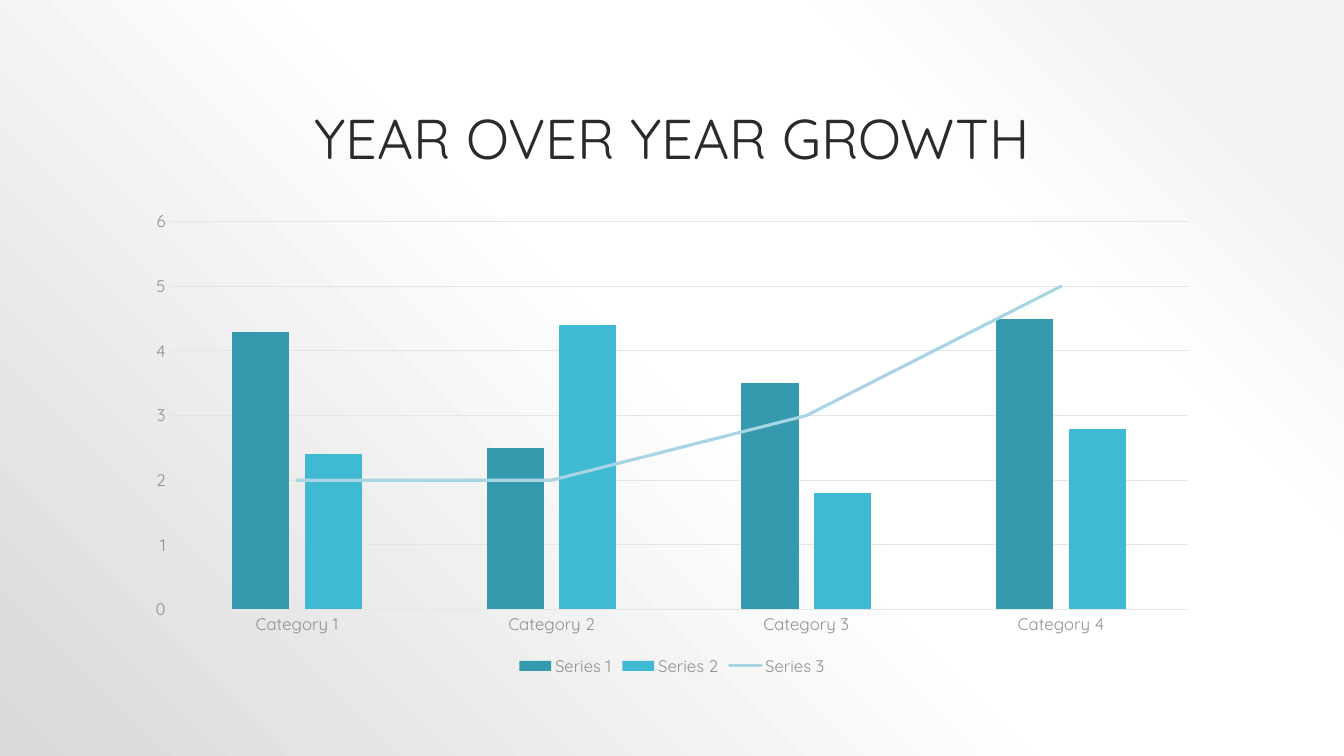
from copy import deepcopy

from pptx import Presentation
from pptx import util as u
from pptx.chart.data import CategoryChartData
from pptx.dml.color import RGBColor
from pptx.enum import chart as ch, text
from pptx.oxml import parse_xml
from pptx.oxml.ns import nsdecls, qn

COLORS = {
    "title": "2A2A2A", "chart_text": "545454", "label": "909090", "grid": "E5E5E5",
    "Series 1": "359AAE", "Series 2": "40BAD2", "Series 3": "A7D5E3",
}
GRADIENT = [(10, "F2F2F2"), (28, "FFFFFF"), (48, "FFFFFF"), (100, "D9D9D9")]
FONT = "Quicksand"
CATEGORIES = [f"Category {n}" for n in range(1, 5)]
SERIES = {
    "Series 1": (4.3, 2.5, 3.5, 4.5),
    "Series 2": (2.4, 4.4, 1.8, 2.8),
    "Series 3": (2, 2, 3, 5),
}


def rgb(name):
    return RGBColor.from_string(COLORS[name])


def set_attrs(obj, **values):
    for name, value in values.items():
        setattr(obj, name, value)


def set_font(font, size, color):
    set_attrs(font, name=FONT, size=u.Pt(size), bold=False)
    font.color.rgb = rgb(color)


def set_line(line, color, width):
    line.color.rgb = rgb(color)
    line.width = u.Pt(width)


def add_background(s):
    # Circular gradient centred on the top right corner
    stops = "".join(
        f'<a:gs pos="{pos * 1000}"><a:srgbClr val="{color}"/></a:gs>'
        for pos, color in GRADIENT)
    s.element.cSld.insert(0, parse_xml(
        f'<p:bg {nsdecls("p", "a")}><p:bgPr><a:gradFill rotWithShape="1">'
        f'<a:gsLst>{stops}</a:gsLst><a:path path="circle">'
        '<a:fillToRect l="100000" b="100000"/></a:path></a:gradFill>'
        '<a:effectLst/></p:bgPr></p:bg>'))


def add_title(s, words, *box):
    tf = s.shapes.add_textbox(*map(u.Inches, box)).text_frame
    set_attrs(tf, word_wrap=True, vertical_anchor=text.MSO_ANCHOR.BOTTOM)
    p = tf.paragraphs[0]
    set_attrs(p, alignment=text.PP_ALIGN.CENTER, line_spacing=0.9)
    r = p.add_run()
    r.text = words
    set_font(r.font, 40, "title")


def move_last_series_to_line(chart):
    bar = chart.plots[0]._element
    ser = bar.findall(qn("c:ser"))[-1]
    for bar_only in ser.findall(qn("c:invertIfNegative")):
        ser.remove(bar_only)
    line = parse_xml(
        f'<c:lineChart {nsdecls("c")}><c:grouping val="standard"/>'
        '<c:varyColors val="0"/></c:lineChart>')
    line.append(ser)
    line.append(parse_xml(f'<c:marker {nsdecls("c")} val="1"/>'))
    for ax_id in bar.findall(qn("c:axId")):
        line.append(deepcopy(ax_id))
    bar.addnext(line)


def style_axes(chart):
    cat, val = chart.category_axis, chart.value_axis
    for axis in (cat, val):
        set_attrs(axis, major_tick_mark=ch.XL_TICK_MARK.NONE,
                  minor_tick_mark=ch.XL_TICK_MARK.NONE)
        set_font(axis.tick_labels.font, 12, "label")
    set_line(cat.format.line, "grid", 0.75)
    val.format.line.fill.background()
    set_attrs(val, minimum_scale=0, maximum_scale=6, major_unit=1,
              has_major_gridlines=True)
    set_line(val.major_gridlines.format.line, "grid", 0.75)


def add_combo_chart(s, *box):
    data = CategoryChartData()
    data.categories = CATEGORIES
    for name, values in SERIES.items():
        data.add_series(name, values)
    chart = s.shapes.add_chart(
        ch.XL_CHART_TYPE.COLUMN_CLUSTERED, *map(u.Inches, box), data).chart
    set_attrs(chart, has_title=False, has_legend=True)
    set_font(chart.font, 10, "chart_text")
    move_last_series_to_line(chart)
    style_axes(chart)

    # Columns and line
    columns, line = chart.plots
    set_attrs(columns, gap_width=219, overlap=-27, vary_by_categories=False)
    for ser in columns.series:
        ser.format.fill.solid()
        ser.format.fill.fore_color.rgb = rgb(ser.name)
    for ser in line.series:
        set_line(ser.format.line, ser.name, 2.25)
        ser.format.line._get_or_add_ln().set("cap", "rnd")
        ser.marker.style = ch.XL_MARKER_STYLE.NONE
        ser.smooth = False

    # Legend
    set_attrs(chart.legend, position=ch.XL_LEGEND_POSITION.BOTTOM,
              include_in_layout=False)
    set_font(chart.legend.font, 12, "label")


def main():
    prs = Presentation()
    set_attrs(prs, slide_width=u.Inches(13.33), slide_height=u.Inches(7.5))
    s = prs.slides.add_slide(prs.slide_layouts[6])
    add_background(s)
    add_title(s, "YEAR OVER YEAR GROWTH", 1.33, 0.3, 10.67, 1.45)
    add_combo_chart(s, 1.33, 2, 10.67, 4.75)
    prs.save("out.pptx")


if __name__ == "__main__":
    main()
